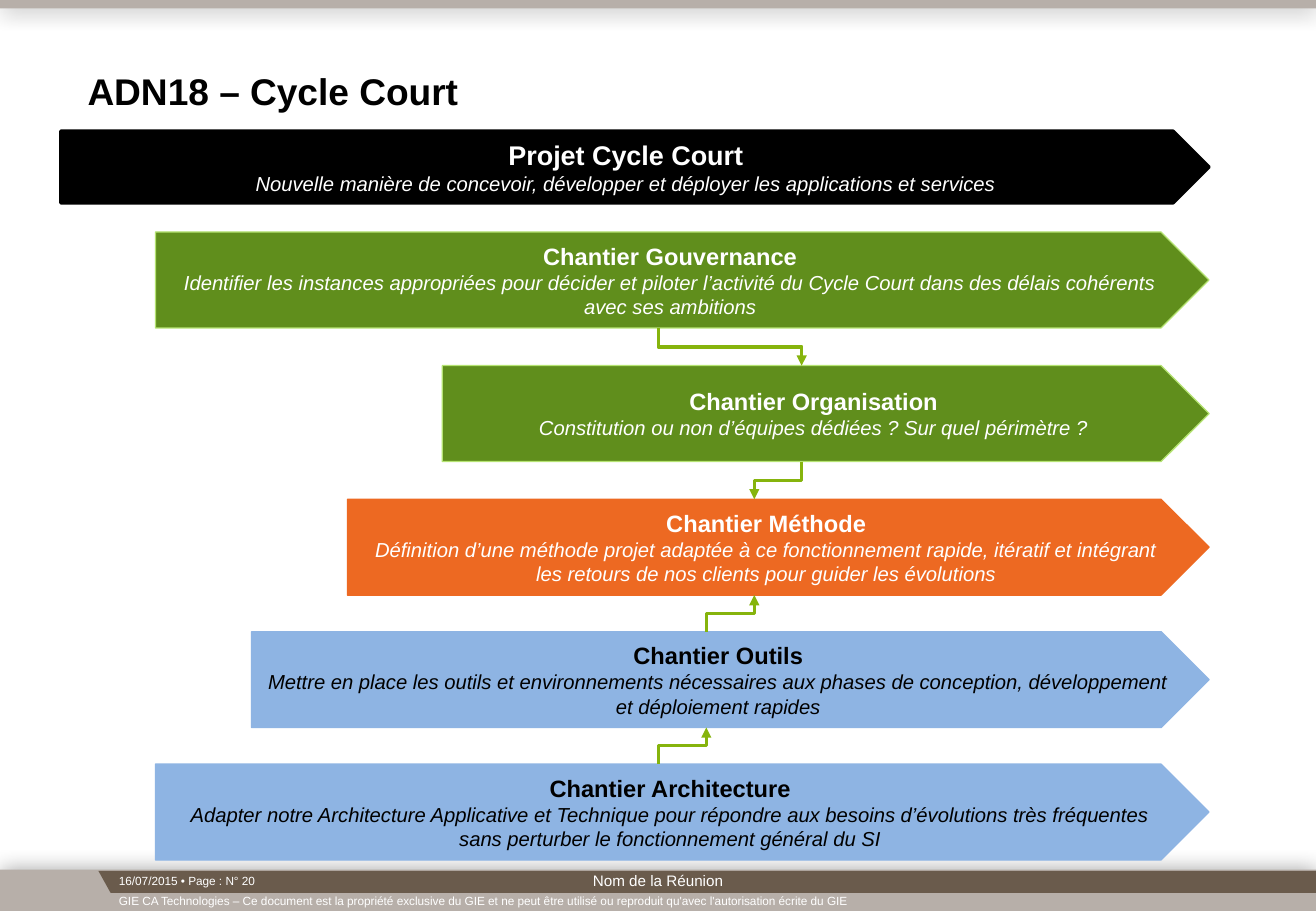
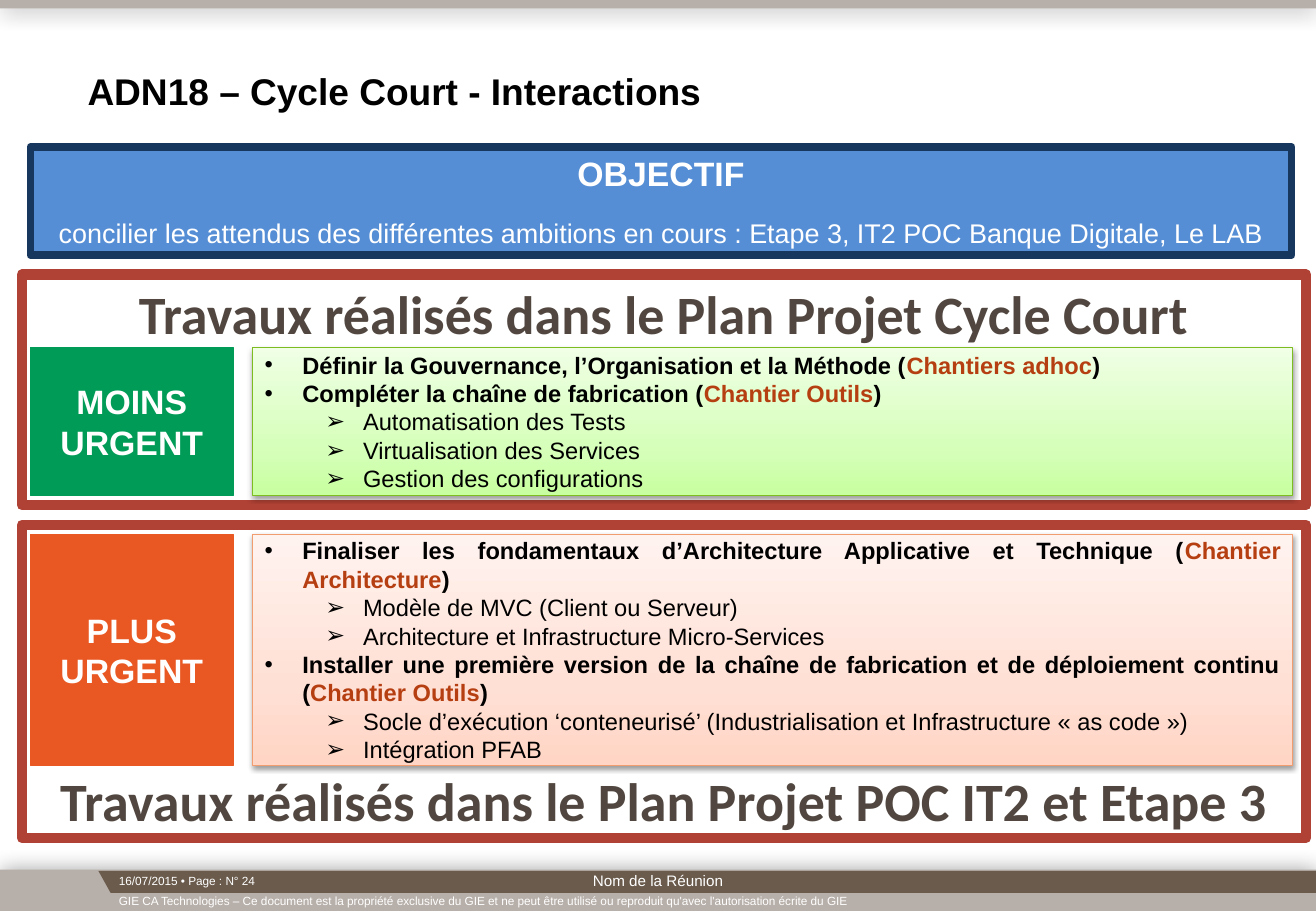
"""Build the two Cycle Court slides."""
from typing import NamedTuple

from lxml.etree import SubElement
from pptx import Presentation
from pptx.dml.color import RGBColor
from pptx.enum.shapes import MSO_CONNECTOR, MSO_SHAPE
from pptx.enum.text import MSO_ANCHOR, MSO_AUTO_SIZE, PP_ALIGN
from pptx.oxml.ns import qn
from pptx.util import Emu, Pt

PX = 9144
COLORS = {
    "white": "FFFFFF", "black": "000000", "band": "B7AFA9", "ribbon": "6A5B4C",
    "green": "608E1C", "green_edge": "B5E372", "orange": "ED6922",
    "sky": "8EB4E3", "link": "86B40D", "frame": "AF4135", "heading": "514740",
    "goal": "558ED5", "goal_edge": "17375E", "calm": "009C57",
    "urgent": "E95822", "calm_edge": "7EBD21", "urgent_edge": "F29D70",
    "highlight": "B63F12",
}
CALM_STOPS = ((0, "C8FFA0"), (35, "D7FFBC"), (100, "F0FFE5"))
URGENT_STOPS = ((0, "FFD5C5"), (35, "FFE0D5"), (100, "FFF3EF"))
NOTICE = ("GIE CA Technologies – Ce document est la propriété exclusive du GIE "
          "et ne peut être utilisé ou reproduit qu'avec l'autorisation écrite du GIE")


class Run(NamedTuple):
    """Text with its character style."""
    text: str
    size: int
    color: str = "white"
    bold: bool = False
    italic: bool = False
    font: str = "Arial"
    outlined: bool = False


def px(length):
    """Turn px into EMU."""
    return Emu(round(length * PX))


def rgb(name):
    """Look up a named colour."""
    return RGBColor.from_string(COLORS[name])


def add_color(parent, value, alpha=None):
    """Add an RGB colour element, with opacity in percent if given."""
    color = SubElement(parent, qn("a:srgbClr"), val=value)
    if alpha is not None:
        SubElement(color, qn("a:alpha"), val=str(alpha * 1000))


class Deck:
    """The shared style and the current slide."""

    def __init__(self, width, height):
        """Open an empty presentation of the given size."""
        self.width, self.height = width, height
        self.presentation = Presentation()
        self.presentation.slide_width = px(width)
        self.presentation.slide_height = px(height)
        self.slide = None

    def new_slide(self, title, page):
        """Start a slide with its bands, footer and title."""
        layout = self.presentation.slide_layouts[5]
        self.slide = self.presentation.slides.add_slide(layout)
        for top, height in ((716, 35), (0, 7)):
            band = self.shape((0, top, self.width, height), "band")
            self.shadow(band, 40, 13, 0)
        builder = self.slide.shapes.build_freeform(81, 717, scale=PX)
        builder.add_line_segments(
            ((91, 735), (self.width, 735), (self.width, 717)), close=True)
        self.paint(builder.convert_to_shape(), "ribbon")
        self.label((88, 731, 995, 21), Run(NOTICE, 7))
        self.label((88, 714, 969, 21), Run(f"16/07/2015 • Page : N° {page}", 7),
                   anchor=MSO_ANCHOR.TOP)
        self.label((370, 714, 343, 21), Run("Nom de la Réunion", 9), PP_ALIGN.CENTER)
        heading = self.slide.shapes.title
        heading.left, heading.top, heading.width, heading.height = map(
            px, (72, 8, 753, 85))
        frame = heading.text_frame
        frame.margin_left = frame.margin_right = 0
        frame.margin_top = frame.margin_bottom = 0
        self.fill_text(frame, [[Run(title, 22, "black", True)]], PP_ALIGN.LEFT,
                       MSO_ANCHOR.BOTTOM)

    def paint(self, shape, fill, edge=None, weight=0.75):
        """Set fill and line, without the theme shadow."""
        shape.shadow.inherit = False
        if fill:
            shape.fill.solid()
            shape.fill.fore_color.rgb = rgb(fill)
        if edge:
            shape.line.color.rgb = rgb(edge)
            shape.line.width = Pt(weight)
        else:
            shape.line.fill.background()

    def shape(self, box, fill, edge=None, weight=0.75, kind=MSO_SHAPE.RECTANGLE):
        """Add a painted preset shape."""
        shape = self.slide.shapes.add_shape(kind, *map(px, box))
        self.paint(shape, fill, edge, weight)
        return shape

    def shadow(self, shape, alpha, blur, distance):
        """Give a shape a soft downward shadow, in points."""
        effects = shape._element.spPr.find(qn("a:effectLst"))
        outer = SubElement(effects, qn("a:outerShdw"), blurRad=str(Pt(blur)),
                           dist=str(Pt(distance)), dir="5400000", rotWithShape="0")
        add_color(outer, COLORS["black"], alpha)

    def fill_text(self, frame, paragraphs, align=PP_ALIGN.CENTER,
                  anchor=MSO_ANCHOR.MIDDLE, levels=()):
        """Fill a text frame run by run, with bullets where levels are given."""
        frame.word_wrap = True
        frame.auto_size = MSO_AUTO_SIZE.NONE
        frame.vertical_anchor = anchor
        for index, runs in enumerate(paragraphs):
            paragraph = frame.add_paragraph() if index else frame.paragraphs[0]
            paragraph.alignment = align
            if levels:
                self.bullet(paragraph, levels[index])
            for item in runs:
                self.add_run(paragraph, item)

    def bullet(self, paragraph, level):
        """Indent a paragraph and give it the bullet of its level."""
        paragraph.level = level
        properties = paragraph._p.get_or_add_pPr()
        properties.set("marL", str(px((31, 81)[level])))
        properties.set("indent", str(px(-31)))
        SubElement(properties, qn("a:buFont"), typeface="Arial")
        SubElement(properties, qn("a:buChar"), char="•➢"[level])

    def add_run(self, paragraph, item):
        """Add one styled run."""
        run = paragraph.add_run()
        run.text = item.text
        font = run.font
        font.name, font.size = item.font, Pt(item.size)
        font.bold, font.italic = item.bold, item.italic
        font.color.rgb = rgb(item.color)
        if item.outlined:
            properties = run._r.get_or_add_rPr()
            outline = SubElement(properties, qn("a:ln"), w=str(Pt(0.75)))
            add_color(SubElement(outline, qn("a:solidFill")), COLORS["white"])
            properties.insert(0, outline)

    def label(self, box, run, align=PP_ALIGN.LEFT, anchor=MSO_ANCHOR.MIDDLE):
        """Add a one-line text box."""
        holder = self.slide.shapes.add_textbox(*map(px, box))
        self.fill_text(holder.text_frame, [[run]], align, anchor)

    def arrow(self, box, fill, edge, name, goal, color="white", size=14, weight=0.75):
        """Add a pentagon with a name and its goal."""
        arrow = self.shape(box, fill, edge, weight, MSO_SHAPE.PENTAGON)
        self.fill_text(arrow.text_frame, [[Run(name, size, color, True)],
                                          [Run(goal, 12, color, italic=True)]])
        return arrow

    def link(self, source, target):
        """Join two pentagons by an elbow that leaves and arrives vertically."""
        down = source.top < target.top
        start_x, end_x = (item.left + (item.width - item.height // 2) // 2
                          for item in (source, target))
        start_y = source.top + (source.height if down else 0)
        end_y = target.top + (0 if down else target.height)
        mid_x, mid_y = (start_x + end_x) // 2, (start_y + end_y) // 2
        connector = self.slide.shapes.add_connector(
            MSO_CONNECTOR.ELBOW,
            Emu(mid_x + start_y - mid_y), Emu(mid_y - start_x + mid_x),
            Emu(mid_x + end_y - mid_y), Emu(mid_y - end_x + mid_x))
        connector.line.color.rgb = rgb("link")
        connector.line.width = Pt(2)
        properties = connector._element.spPr
        properties.find(qn("a:xfrm")).set("rot", "5400000")
        SubElement(properties.find(qn("a:ln")), qn("a:tailEnd"), type="triangle")
        SubElement(properties, qn("a:effectLst"))

    def work_frame(self, top, height, heading, anchor):
        """Add a thick frame with its heading."""
        frame = self.shape((18, top, 1057, height), "white", "frame", 6)
        run = Run(heading, 32, "heading", True, font="Calibri", outlined=True)
        self.fill_text(frame.text_frame, [[run]], anchor=anchor)

    def priority(self, top, height, degree, fill, edge, stops, tasks):
        """Add a priority block and its shaded task list."""
        badge = self.shape((25, top, 167, height), fill, fill)
        self.fill_text(badge.text_frame,
                       [[Run(word, 20, bold=True)] for word in (degree, "URGENT")])
        panel = self.shape((208, top, 856, height), None, edge)
        panel.fill.gradient()
        panel.fill.gradient_angle = 90
        stop_list = panel._element.spPr.find(qn("a:gradFill")).find(qn("a:gsLst"))
        for stop in list(stop_list):
            stop_list.remove(stop)
        for position, value in stops:
            add_color(SubElement(stop_list, qn("a:gs"), pos=str(position * 1000)), value)
        self.shadow(panel, 38, 3.1, 1.6)
        paragraphs, levels = [], []
        for task, site, details in tasks:
            paragraphs.append([Run(f"{task} (", 14, "black", True),
                               Run(site, 14, "highlight", True),
                               Run(")", 14, "black", True)])
            paragraphs += [[Run(detail, 14, "black")] for detail in details]
            levels += [0] + [1] * len(details)
        self.fill_text(panel.text_frame, paragraphs, PP_ALIGN.JUSTIFY, levels=levels)


def cycle_slide(deck):
    """Draw the project and its five linked work streams."""
    deck.new_slide("ADN18 – Cycle Court", 20)
    deck.arrow((50, 108, 945, 59), "black", "black", "Projet Cycle Court",
               "Nouvelle manière de concevoir, développer et déployer les "
               "applications et services", size=16, weight=2)
    streams = (
        (128, 191, "green", "green_edge", "white", "Gouvernance",
         "Identifier les instances appropriées pour décider et piloter l’activité "
         "du Cycle Court dans des délais cohérents avec ses ambitions"),
        (364, 301, "green", "green_edge", "white", "Organisation",
         "Constitution ou non d’équipes dédiées ? Sur quel périmètre ?"),
        (286, 411, "orange", "orange", "white", "Méthode",
         "Définition d’une méthode projet adaptée à ce fonctionnement rapide, "
         "itératif et intégrant les retours de nos clients pour guider les évolutions"),
        (207, 520, "sky", "sky", "black", "Outils",
         "Mettre en place les outils et environnements nécessaires aux phases de "
         "conception, développement et déploiement rapides"),
        (128, 629, "sky", "sky", "black", "Architecture",
         "Adapter notre Architecture Applicative et Technique pour répondre aux "
         "besoins d’évolutions très fréquentes sans perturber le fonctionnement "
         "général du SI"),
    )
    governance, organisation, method, tools, architecture = [
        deck.arrow((left, top, 995 - left, 79), fill, edge, f"Chantier {name}", goal, color)
        for left, top, fill, edge, color, name, goal in streams]
    for source, target in ((governance, organisation), (organisation, method),
                           (tools, method), (architecture, tools)):
        deck.link(source, target)


def interactions_slide(deck):
    """Draw the objective and the two priority groups."""
    deck.new_slide("ADN18 – Cycle Court - Interactions", 24)
    deck.work_frame(226, 190, "Travaux réalisés dans le Plan Projet Cycle Court",
                    MSO_ANCHOR.TOP)
    deck.work_frame(432, 258, "Travaux réalisés dans le Plan Projet POC IT2 et Etape 3",
                    MSO_ANCHOR.BOTTOM)
    objective = deck.shape((25, 121, 1038, 89), "goal", "goal_edge", 4.5)
    deck.fill_text(objective.text_frame, [
        [Run("OBJECTIF", 20, bold=True)],
        [Run("concilier les attendus des différentes ambitions en cours : "
             "Etape 3, IT2 POC Banque Digitale, Le LAB", 16)]])
    objective.text_frame.paragraphs[1].space_before = Pt(14)
    deck.priority(286, 122, "MOINS", "calm", "calm_edge", CALM_STOPS, (
        ("Définir la Gouvernance, l’Organisation et la Méthode", "Chantiers adhoc", ()),
        ("Compléter la chaîne de fabrication", "Chantier Outils",
         ("Automatisation des Tests", "Virtualisation des Services",
          "Gestion des configurations"))))
    deck.priority(440, 190, "PLUS", "urgent", "urgent_edge", URGENT_STOPS, (
        ("Finaliser les fondamentaux d’Architecture Applicative et Technique",
         "Chantier Architecture",
         ("Modèle de MVC (Client ou Serveur)",
          "Architecture et Infrastructure Micro-Services")),
        ("Installer une première version de la chaîne de fabrication et de "
         "déploiement continu", "Chantier Outils",
         ("Socle d’exécution ‘conteneurisé’ (Industrialisation et Infrastructure "
          "« as code »)", "Intégration PFAB"))))


def main():
    """Build and save the deck."""
    deck = Deck(1083, 750)
    cycle_slide(deck)
    interactions_slide(deck)
    deck.presentation.save("out.pptx")


if __name__ == "__main__":
    main()
